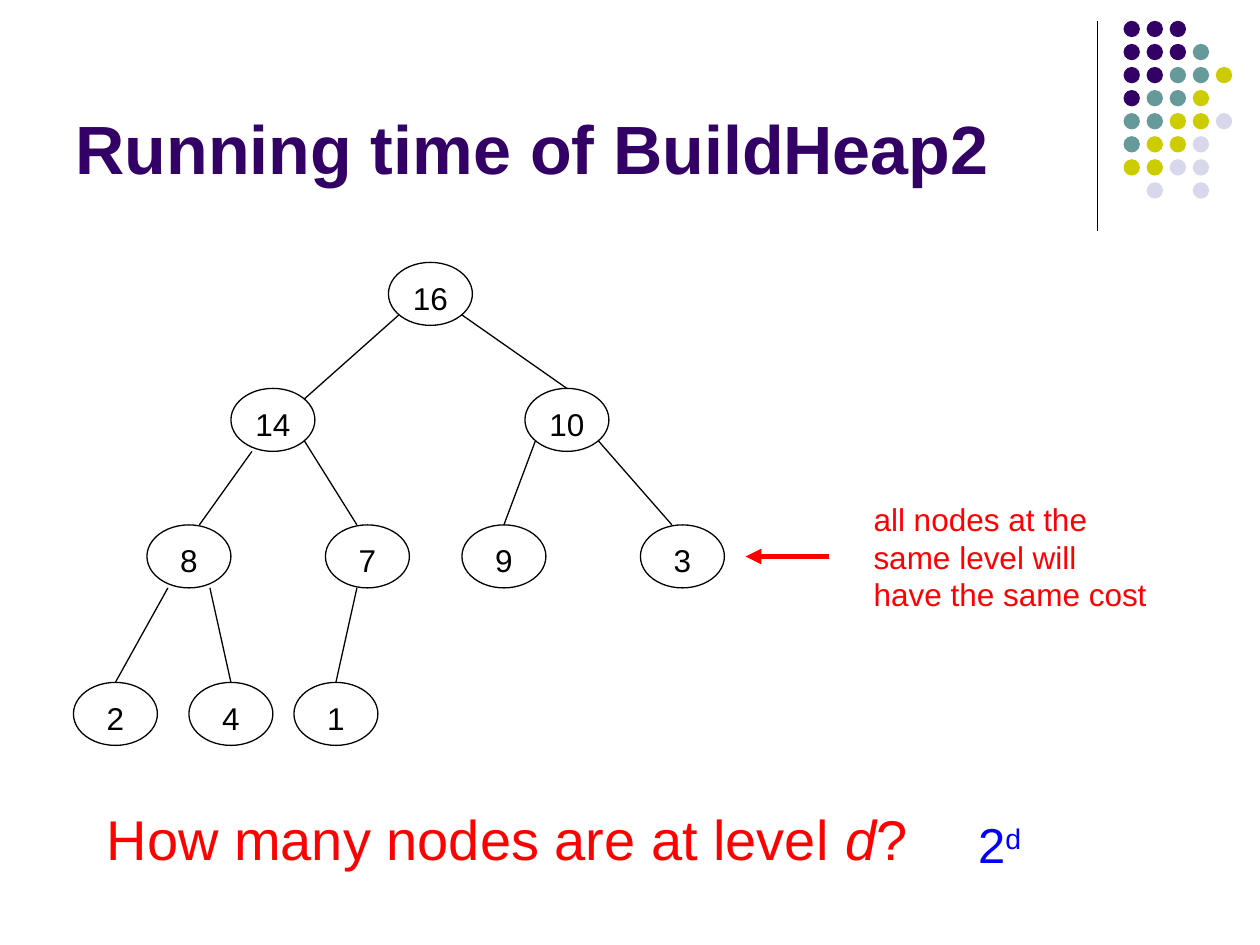
from lxml import etree
from pptx import Presentation
from pptx.dml.color import RGBColor
from pptx.enum import shapes, text
from pptx.oxml import ns
from pptx.util import Cm, Pt

FONT = "Arial"
COLORS = {
    "purple": "330066", "teal": "669999", "lime": "CCCC00", "mist": "D8D8EC",
    "ink": "000000", "red": "FF0000", "blue": "0000FF",
}
UNIT = 2.54 / 12  # the tree is laid out on a grid of twelfths of an inch
NODE_SIZE = (8, 6)

# value: left and top on the grid, relative to the box of the tree
NODES = {
    16: (30, 0),
    14: (15, 12), 10: (43, 12),
    8: (7, 25), 7: (24, 25), 9: (37, 25), 3: (54, 25),
    2: (0, 40), 4: (11, 40), 1: (21, 40),
}
TOP = (4, 0)
# parent, child, then the end points relative to each node
EDGES = [
    (16, 14, (1, 5), (7, 1)), (16, 10, (7, 5), TOP),
    (14, 8, (2, 6), (5, 0)), (14, 7, (7, 5), (3, 0)),
    (10, 9, (1, 5), TOP), (10, 3, (7, 5), (3, 0)),
    (8, 2, (2, 6), TOP), (8, 4, (6, 6), TOP), (7, 1, (3, 6), TOP),
]
DOT_ROWS = ["PPP", "PPPT", "PPTTL", "PTTL", "TTLLM", "TLLM", "LLMM", " M M"]
DOT_COLORS = {"P": "purple", "T": "teal", "L": "lime", "M": "mist"}


def rgb(name):
    return RGBColor.from_string(COLORS[name])


def set_font(font, size, color, bold=False):
    font.name, font.size, font.bold = FONT, Pt(size), bold
    font.color.rgb = rgb(color)


def add_line(page, start, end, color="ink", width=0.75):
    """Draw a straight line between two points given in centimetres."""
    line = page.shapes.add_connector(
        shapes.MSO_CONNECTOR.STRAIGHT, *(Cm(v) for v in (*start, *end)))
    line.line.color.rgb = rgb(color)
    line.line.width = Pt(width)
    etree.SubElement(line._element.spPr, ns.qn("a:effectLst"))
    return line


def add_oval(page, left, top, width, height):
    oval = page.shapes.add_shape(
        shapes.MSO_SHAPE.OVAL, Cm(left), Cm(top), Cm(width), Cm(height))
    oval.shadow.inherit = False
    return oval


def add_text(page, left, top, width, height, spans, size, color):
    """Write one paragraph and return its runs."""
    box = page.shapes.add_textbox(Cm(left), Cm(top), Cm(width), Cm(height))
    box.text_frame.word_wrap = True
    para = box.text_frame.paragraphs[0]
    runs = []
    for words in spans:
        span = para.add_run()
        span.text = words
        runs.append(span)
    set_font(para.font, size, color)
    return runs


def add_title(page, left, top, width, height):
    title = page.shapes.title
    title.left, title.top = Cm(left), Cm(top)
    title.width, title.height = Cm(width), Cm(height)
    frame = title.text_frame
    frame.text = "Running time of BuildHeap2"
    frame.vertical_anchor = text.MSO_ANCHOR.BOTTOM
    frame.auto_size = text.MSO_AUTO_SIZE.NONE
    para = frame.paragraphs[0]
    para.alignment = text.PP_ALIGN.LEFT
    set_font(para.font, 39, "purple", bold=True)


def add_corner_dots(page, left, top, height):
    """Draw the vertical rule and the dot pattern to its right."""
    add_line(page, (left, top), (left, top + height))
    pitch, size = 0.465, 0.33
    for row, marks in enumerate(DOT_ROWS):
        for column, mark in enumerate(marks):
            if mark == " ":
                continue
            dot = add_oval(page, left + 0.53 + column * pitch,
                           top + row * pitch, size, size)
            dot.fill.solid()
            dot.fill.fore_color.rgb = rgb(DOT_COLORS[mark])
            dot.line.fill.background()


def add_node(page, value, left, top):
    node = add_oval(page, left, top, *(side * UNIT for side in NODE_SIZE))
    node.fill.background()
    node.line.color.rgb = rgb("ink")
    node.line.width = Pt(0.75)
    frame = node.text_frame
    frame.word_wrap = False
    frame.vertical_anchor = text.MSO_ANCHOR.MIDDLE
    frame.margin_left = frame.margin_right = frame.margin_bottom = 0
    frame.margin_top = Cm(0.15)
    para = frame.paragraphs[0]
    para.text = str(value)
    para.alignment = text.PP_ALIGN.CENTER
    set_font(para.font, 18, "ink")
    return node


def add_heap(page, left, top):
    def place(value, offset=(0, 0)):
        x, y = NODES[value]
        return left + (x + offset[0]) * UNIT, top + (y + offset[1]) * UNIT

    nodes = {value: add_node(page, value, *place(value)) for value in NODES}
    for parent, child, start, end in EDGES:
        edge = add_line(page, place(parent, start), place(child, end))
        if end == TOP:
            edge.end_connect(nodes[child], 0)


def add_level_note(page, left, top):
    """Place the remark on one level and the arrow pointing at that level."""
    arrow_y = top + 1.27
    arrow = add_line(page, (left + 1.69, arrow_y), (left, arrow_y), "red", 3)
    etree.SubElement(arrow.line._get_or_add_ln(), ns.qn("a:tailEnd"),
                     type="triangle")
    add_text(page, left + 2.33, top, 6.14, 2.54,
             ["all nodes at the same level will have the same cost"], 18, "red")


def add_question(page, left, top):
    spans = ["How many nodes are at level ", "d", "?"]
    question = add_text(page, left, top, 18.2, 1.6, spans, 32, "red")
    question[1].font.italic = True
    answer = add_text(page, left + 17.57, top + 0.21, 3.81, 1.45,
                      ["2", "d"], 28, "blue")
    answer[1].font._element.set("baseline", "30000")


def main():
    deck = Presentation()
    deck.slide_width, deck.slide_height = Cm(25.4), Cm(19.05)
    page = deck.slides.add_slide(deck.slide_layouts[5])
    add_corner_dots(page, 22.12, 0.42, 4.23)
    add_title(page, 1.27, 0.33, 20.96, 3.6)
    add_heap(page, 1.48, 5.29)
    add_level_note(page, 15.03, 9.95)
    add_question(page, 1.9, 16.09)
    deck.save("out.pptx")


if __name__ == "__main__":
    main()
